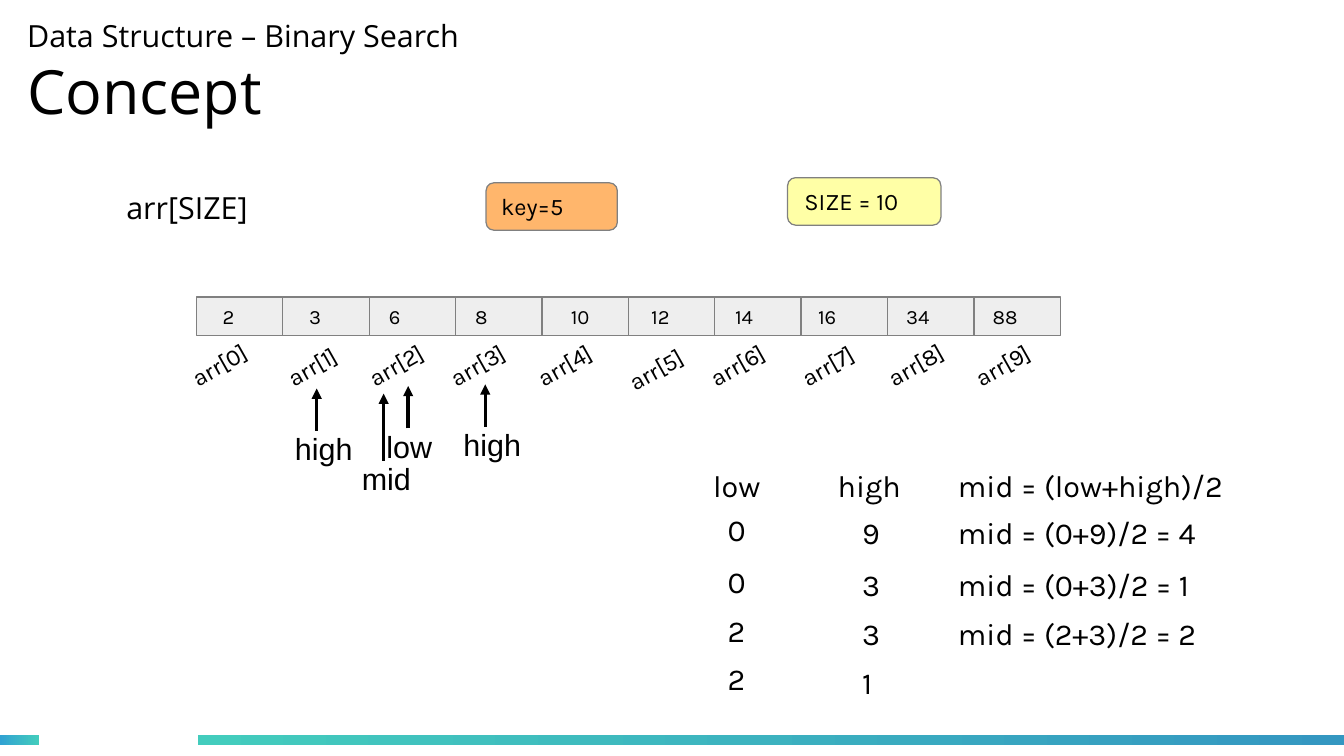
from dataclasses import dataclass

from lxml import etree
from pptx import Presentation
from pptx.dml.color import RGBColor
from pptx.enum.shapes import MSO_CONNECTOR, MSO_SHAPE
from pptx.enum.text import MSO_ANCHOR, PP_ALIGN
from pptx.oxml.ns import qn
from pptx.util import Pt

RECT = MSO_SHAPE.RECTANGLE
ROUNDED = MSO_SHAPE.ROUNDED_RECTANGLE
STRAIGHT = MSO_CONNECTOR.STRAIGHT
TOP = MSO_ANCHOR.TOP
MIDDLE = MSO_ANCHOR.MIDDLE
LEFT = PP_ALIGN.LEFT


@dataclass(frozen=True)
class Theme:
    ink: str = "000000"
    outline: str = "808080"
    cell: str = "EEEEEE"
    key: str = "FFB66C"
    array_size: str = "FFFFA6"
    teal: str = "43CCBD"
    blue: str = "30A2D2"
    deep_blue: str = "3497C1"
    heading_font: str = "Open Sans"
    body_font: str = "Karla"
    pointer_font: str = "Arial"
    title: int = 36
    body: int = 18
    label: int = 14
    value: int = 12


class SlideBuilder:
    def __init__(self, slide, theme):
        self.shapes = slide.shapes
        self.theme = theme

    def fill_text(self, frame, runs, font, inset, anchor):
        frame.word_wrap = True
        frame.vertical_anchor = anchor
        frame.margin_left, frame.margin_top = Pt(inset[0]), Pt(inset[1])
        frame.margin_right, frame.margin_bottom = Pt(0), Pt(inset[1])
        paragraph = frame.paragraphs[0]
        paragraph.alignment = LEFT
        for index, (words, size) in enumerate(runs):
            if index:
                paragraph.add_line_break()
            run = paragraph.add_run()
            run.text = words
            run.font.size = Pt(size)
            run.font.name = font
            run.font.color.rgb = RGBColor.from_string(self.theme.ink)

    def text(self, left, top, width, height, runs, font, inset=(7.2, 3.6), anchor=TOP, rotation=0):
        box = self.shapes.add_textbox(Pt(left), Pt(top), Pt(width), Pt(height))
        box.rotation = rotation
        self.fill_text(box.text_frame, runs, font, inset, anchor)

    def box(self, kind, left, top, width, height, fill, words, size, indent):
        shape = self.shapes.add_shape(kind, Pt(left), Pt(top), Pt(width), Pt(height))
        shape.shadow.inherit = False
        shape.fill.solid()
        shape.fill.fore_color.rgb = RGBColor.from_string(fill)
        shape.line.color.rgb = RGBColor.from_string(self.theme.outline)
        shape.line.width = Pt(0)
        self.fill_text(shape.text_frame, [(words, size)], self.theme.body_font, (indent, 0), MIDDLE)

    def bar(self, left, top, width, height, start, end):
        shape = self.shapes.add_shape(RECT, Pt(left), Pt(top), Pt(width), Pt(height))
        shape.shadow.inherit = False
        shape.line.fill.background()
        shape.fill.gradient()
        shape.fill.gradient_angle = 0
        for stop, color in zip(shape.fill.gradient_stops, (start, end)):
            stop.color.rgb = RGBColor.from_string(color)

    def arrow_up(self, x, bottom, length):
        arrow = self.shapes.add_connector(STRAIGHT, Pt(x), Pt(bottom), Pt(x), Pt(bottom - length))
        arrow.line.color.rgb = RGBColor.from_string(self.theme.ink)
        arrow.line.width = Pt(0)
        properties = arrow._element.spPr
        etree.SubElement(properties.find(qn("a:ln")), qn("a:tailEnd"), type="triangle")
        etree.SubElement(properties, qn("a:effectLst"))


def main():
    theme = Theme()
    deck = Presentation()
    deck.slide_width, deck.slide_height = Pt(793.5), Pt(446.5)
    page = SlideBuilder(deck.slides.add_slide(deck.slide_layouts[6]), theme)

    page.bar(0, 434, 23, 6, theme.blue, theme.teal)
    page.bar(117, 434, 676.5, 6, theme.teal, theme.deep_blue)

    heading = [("Data Structure – Binary Search", theme.body), ("Concept", theme.title)]
    page.text(16, 6, 553, 73, heading, theme.heading_font, (0, 0), MIDDLE)
    page.text(67.5, 108, 102, 31.5, [("arr[SIZE]", theme.body)], theme.heading_font)
    page.box(ROUNDED, 465, 105, 90.5, 28, theme.array_size, "SIZE = 10", theme.label, 8.5)
    page.box(ROUNDED, 287, 108, 77.5, 28, theme.key, "key=5", theme.label, 7.5)

    cells = [
        ("2", 15.5, 105), ("3", 15.5, 161.5), ("6", 11.5, 209.5), ("8", 11.5, 257.5),
        ("10", 17, 309), ("12", 13.5, 363), ("14", 12, 411), ("16", 10, 465),
        ("34", 11, 516), ("88", 11, 567.5),
    ]
    cell_width = 51
    for index, (value, indent, index_left) in enumerate(cells):
        page.box(RECT, 116 + index * cell_width, 175.5, cell_width, 22.5,
                 theme.cell, value, theme.value, indent)
        index_top = 202.5 if index == 5 else 200
        page.text(index_left, index_top, 62, 28, [(f"arr[{index}]", theme.label)],
                  theme.body_font, rotation=330.4)

    pointers = [
        ("mid", 206.5, 268, 39.5),
        ("high", 266.5, 248, 25),
        ("low", 221, 249, 25),
        ("high", 167, 250.5, 25),
    ]
    for name, left, top, reach in pointers:
        page.arrow_up(left + 20, top + 4, reach)
        page.text(left, top, 54, 27.5, [(name, theme.body)], theme.pointer_font)

    headers = [("low", 414, 50), ("high", 487.5, 56), ("mid = (low+high)/2", 558.5, 192)]
    for name, left, width in headers:
        page.text(left, 272, width, 31.5, [(name, theme.body)], theme.body_font)

    steps = [
        (298, "0", "9", "mid = (0+9)/2 = 4"),
        (329, "0", "3", "mid = (0+3)/2 = 1"),
        (358, "2", "3", "mid = (2+3)/2 = 2"),
        (386.5, "2", "1", None),
    ]
    for top, low, high, middle in steps:
        columns = [(low, 422.5, top, 26), (high, 502, top + 2, 26), (middle, 558.5, top + 2, 235)]
        for words, left, row_top, width in columns:
            if words:
                page.text(left, row_top, width, 31.5, [(words, theme.body)], theme.body_font)

    deck.save("out.pptx")


if __name__ == "__main__":
    main()
